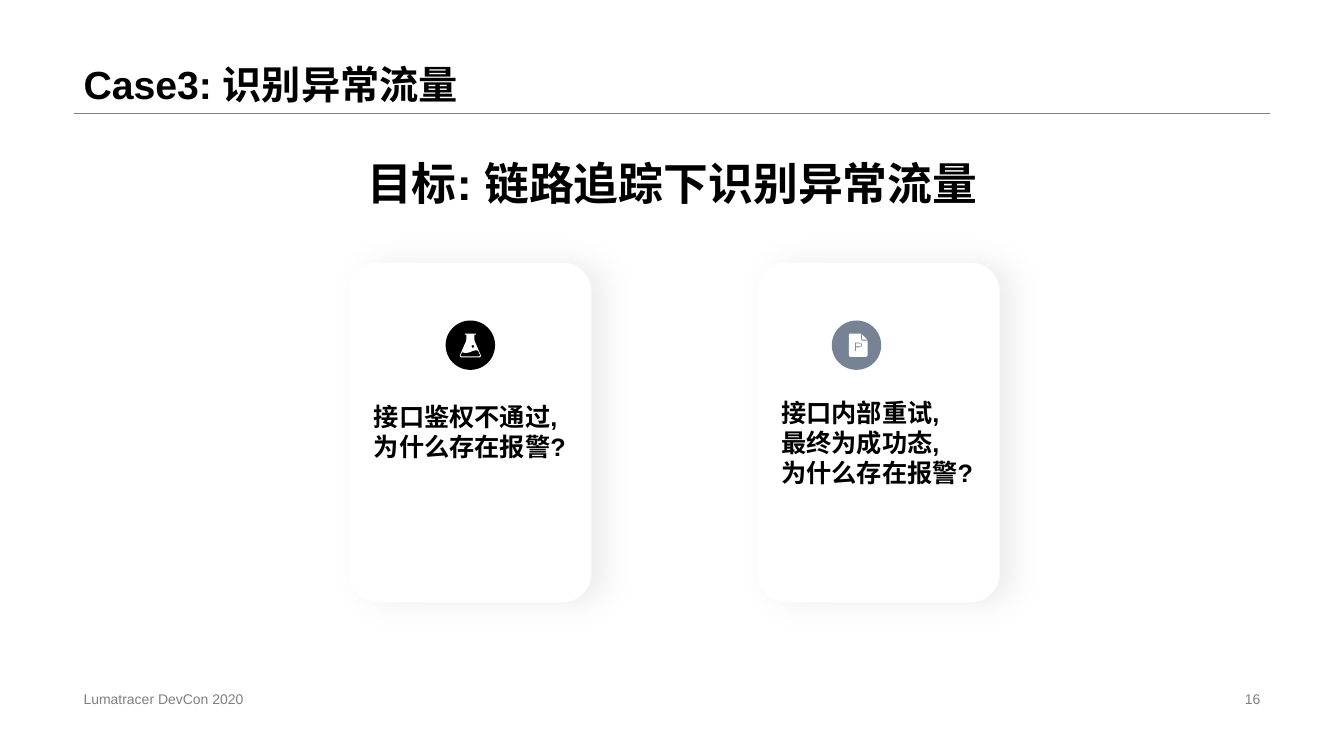
from dataclasses import dataclass

from lxml import etree
from pptx import Presentation
from pptx.dml.color import RGBColor
from pptx.enum.shapes import MSO_CONNECTOR, MSO_SHAPE
from pptx.enum.text import MSO_ANCHOR, MSO_AUTO_SIZE, PP_ALIGN
from pptx.oxml.ns import qn
from pptx.util import Inches, Pt

STRAIGHT = MSO_CONNECTOR.STRAIGHT
ROUNDED, OVAL = MSO_SHAPE.ROUNDED_RECTANGLE, MSO_SHAPE.OVAL
TOP, MIDDLE, BOTTOM = MSO_ANCHOR.TOP, MSO_ANCHOR.MIDDLE, MSO_ANCHOR.BOTTOM
LEFT, CENTER, RIGHT = PP_ALIGN.LEFT, PP_ALIGN.CENTER, PP_ALIGN.RIGHT
GROW, FIXED = MSO_AUTO_SIZE.SHAPE_TO_FIT_TEXT, MSO_AUTO_SIZE.NONE

COLORS = {
    "text": "000000",
    "muted": "808080",
    "card": "FFFFFF",
    "shadow": "A6A6A6",
    "flask": "000000",
    "document": "768394",
}
FONT = "Arial"
SLIDE_WIDTH, SLIDE_HEIGHT = Inches(13.33), Inches(7.5)
ICON_UNIT = Inches(1) / 1000

# Shares of the slide's width and height, in percent
MARGIN = 5.48
CONTENT_WIDTH = 100 - 2 * MARGIN
RULE_TOP = 14.93
FOOTER_TOP, FOOTER_HEIGHT = 90.93, 3.07
CARD_LEFT, CARD_TOP, CARD_STEP = 22.36, 41.2, 30.38
CARD_WIDTH, CARD_HEIGHT = 25.28, 32
BADGE_TOP, BADGE_WIDTH, BADGE_HEIGHT = 42.4, 3.68, 6.53
ICON_TOP = 44.13

Contour = list[tuple[int, int]]

# Icon outlines in thousandths of an inch; inner contours are cut out
FLASK: list[Contour] = [
    [(50, 0), (160, 0), (160, 10), (145, 10), (145, 60), (148, 75), (208, 212),
     (210, 222), (205, 230), (195, 235), (15, 235), (5, 230), (0, 222), (2, 212),
     (62, 75), (65, 60), (65, 10), (50, 10)],
    [(110, 180), (95, 186), (70, 191), (45, 190), (22, 185), (8, 215), (10, 222),
     (18, 225), (192, 225), (200, 222), (202, 215), (182, 170), (160, 166), (135, 170)],
    [(130, 113), (120, 117), (116, 127), (120, 137), (130, 141), (140, 137),
     (144, 127), (140, 117)],
]
DOCUMENT: list[Contour] = [
    [(120, 0), (120, 55), (125, 65), (132, 69), (185, 69), (185, 215), (180, 225),
     (170, 230), (12, 230), (3, 225), (0, 215), (0, 12), (4, 3), (12, 0)],
    [(60, 90), (105, 90), (125, 98), (132, 113), (125, 128), (105, 136), (70, 136),
     (70, 175), (60, 175)],
    [(70, 98), (105, 98), (117, 103), (121, 113), (116, 123), (105, 128), (70, 128)],
    [(130, 8), (183, 60), (137, 60), (130, 55)],
]


@dataclass
class Card:
    lines: list[str]
    text_box: tuple[float, float, float, float]
    badge_left: float
    badge_color: str
    icon: list[Contour]
    icon_left: float


CARDS = [
    Card(["接口鉴权不通过,", "为什么存在报警?"], (27.08, 52.4, 19.5, 9.47),
         33.16, "flask", FLASK, 34.21),
    Card(["接口内部重试,", "最终为成功态,", "为什么存在报警?"], (57.39, 51.87, 16.05, 13.47),
         61.89, "document", DOCUMENT, 63.17),
]


def across(share: float) -> int:
    return round(SLIDE_WIDTH * share / 100)


def down(share: float) -> int:
    return round(SLIDE_HEIGHT * share / 100)


def frame(left: float, top: float, width: float, height: float) -> tuple[int, ...]:
    return across(left), down(top), across(width), down(height)


def rgb(name: str) -> RGBColor:
    return RGBColor.from_string(COLORS[name])


def paint(shape, color: str) -> None:
    shape.shadow.inherit = False
    shape.fill.solid()
    shape.fill.fore_color.rgb = rgb(color)
    shape.line.fill.background()


def add_text(slide, lines: list[str], box: tuple[float, float, float, float], *,
             size: int, color: str = "text", bold: bool = False, align=LEFT,
             anchor=MIDDLE, auto_size=FIXED, wrap: bool = True, spacing: float = 1.0) -> None:
    text_frame = slide.shapes.add_textbox(*frame(*box)).text_frame
    text_frame.word_wrap = wrap
    text_frame.auto_size = auto_size
    text_frame.vertical_anchor = anchor
    text_frame.text = "\n".join(lines)
    for paragraph in text_frame.paragraphs:
        paragraph.alignment = align
        paragraph.line_spacing = spacing
        font = paragraph.runs[0].font
        font.name, font.size, font.bold = FONT, Pt(size), bold
        font.color.rgb = rgb(color)


def add_soft_shadow(shape) -> None:
    effects = shape._element.spPr.find(qn("a:effectLst"))
    shadow = etree.SubElement(effects, qn("a:outerShdw"), blurRad=str(Pt(20)),
                              dist=str(Pt(10)), dir="0", algn="ctr", rotWithShape="0")
    color = etree.SubElement(shadow, qn("a:srgbClr"), val=COLORS["shadow"])
    etree.SubElement(color, qn("a:alpha"), val="20000")


def add_rule(slide) -> None:
    rule = slide.shapes.add_connector(STRAIGHT, across(MARGIN), down(RULE_TOP),
                                      across(100 - MARGIN), down(RULE_TOP))
    rule.line.color.rgb = rgb("muted")
    rule.line.width = Pt(0.25)
    etree.SubElement(rule._element.spPr, qn("a:effectLst"))


def add_icon(slide, contours: list[Contour], left: float) -> None:
    outline, *cutouts = contours
    builder = slide.shapes.build_freeform(*outline[0], scale=ICON_UNIT)
    builder.add_line_segments(outline[1:], close=True)
    for cutout in cutouts:
        builder.move_to(*cutout[0])
        builder.add_line_segments(cutout[1:], close=True)
    paint(builder.convert_to_shape(across(left), down(ICON_TOP)), "card")


def add_card(slide, card: Card, left: float) -> None:
    panel = slide.shapes.add_shape(ROUNDED, *frame(left, CARD_TOP, CARD_WIDTH, CARD_HEIGHT))
    panel.adjustments[0] = 0.12
    panel.rotation = 90
    paint(panel, "card")
    add_soft_shadow(panel)
    badge = slide.shapes.add_shape(
        OVAL, *frame(card.badge_left, BADGE_TOP, BADGE_WIDTH, BADGE_HEIGHT))
    paint(badge, card.badge_color)
    add_icon(slide, card.icon, card.icon_left)
    add_text(slide, card.lines, card.text_box, size=18, bold=True, anchor=TOP,
             auto_size=GROW, wrap=False)


def main() -> None:
    presentation = Presentation()
    presentation.slide_width, presentation.slide_height = SLIDE_WIDTH, SLIDE_HEIGHT
    slide = presentation.slides.add_slide(presentation.slide_layouts[6])

    add_rule(slide)
    add_text(slide, ["Case3: 识别异常流量"], (MARGIN, 0, CONTENT_WIDTH, RULE_TOP),
             size=28, bold=True, anchor=BOTTOM, spacing=0.9)
    add_text(slide, ["目标: 链路追踪下识别异常流量"], (18.9, 19.87, 62.27, 8.53),
             size=32, bold=True, align=CENTER)
    for index, card in enumerate(CARDS):
        add_card(slide, card, CARD_LEFT + index * CARD_STEP)
    add_text(slide, ["Lumatracer DevCon 2020"], (MARGIN, FOOTER_TOP, 33.98, FOOTER_HEIGHT),
             size=10, color="muted")
    add_text(slide, ["16"], (70.67, FOOTER_TOP, 23.85, FOOTER_HEIGHT),
             size=10, color="muted", align=RIGHT)

    presentation.save("out.pptx")


if __name__ == "__main__":
    main()
